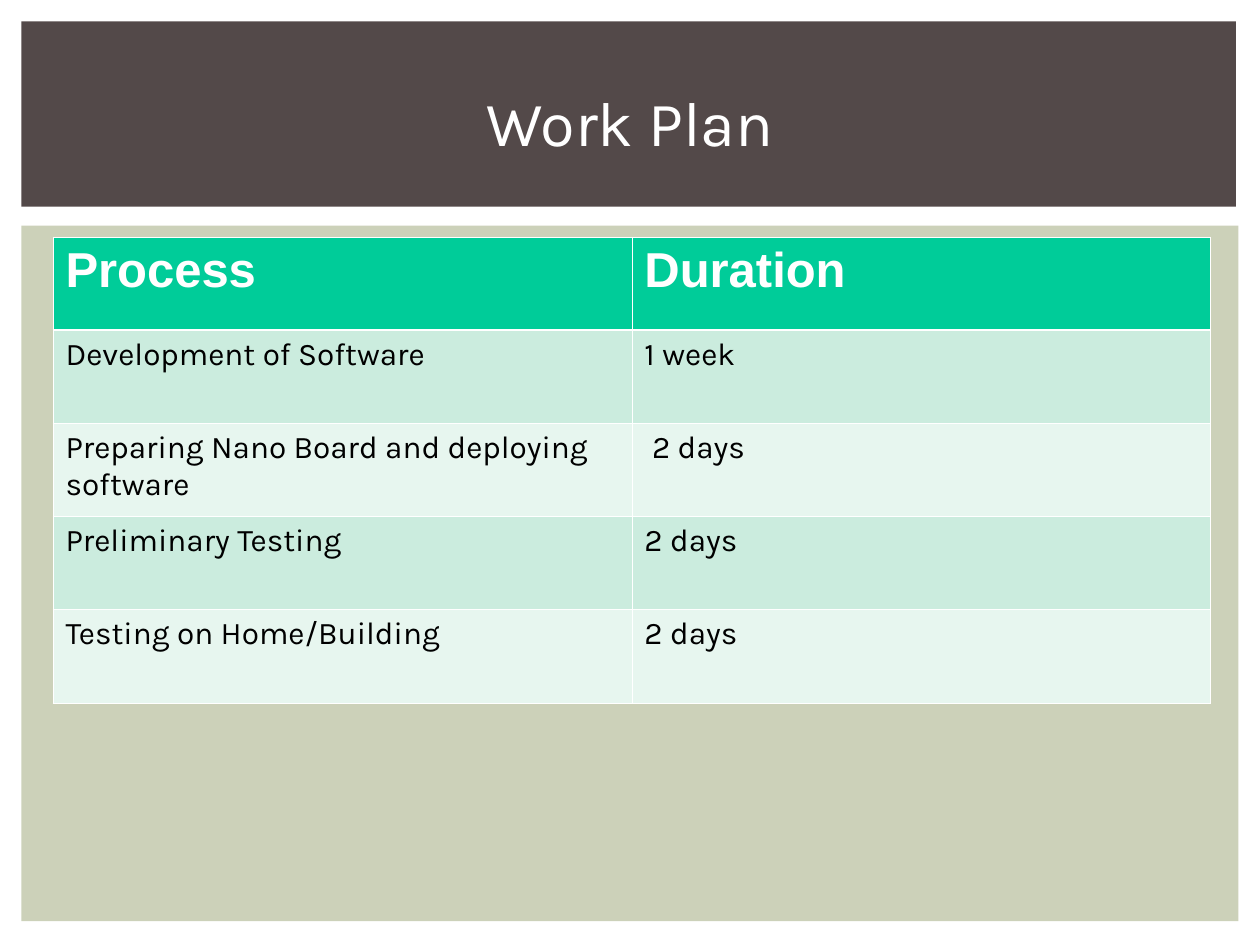
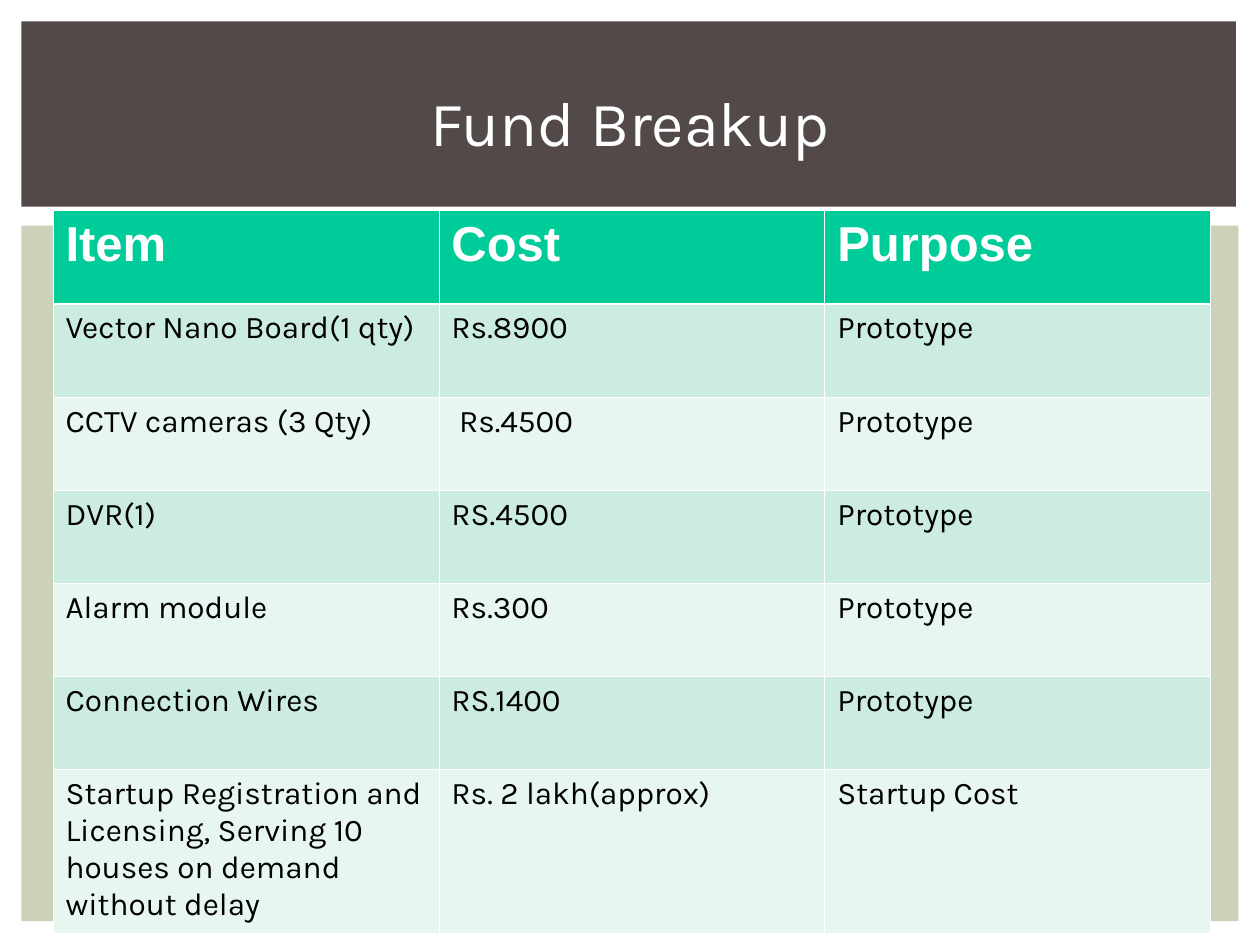
from dataclasses import dataclass

from lxml.etree import SubElement
from pptx import Presentation
from pptx.dml.color import RGBColor
from pptx.enum.shapes import MSO_SHAPE
from pptx.enum.text import MSO_ANCHOR, MSO_AUTO_SIZE, PP_ALIGN
from pptx.oxml.ns import qn
from pptx.util import Inches, Pt

COLORS = {
    "title_band": "534949",
    "content_panel": "CCD1B9",
    "header": "00CC99",
    "odd_row": "CBECDE",
    "even_row": "E7F6EF",
    "white": "FFFFFF",
    "black": "000000",
}
HEADER_FONT = "Arial"
BODY_FONT = "Karla"
TABLE_LEFT = 0.42
TABLE_WIDTH = 9.19
ROW_HEIGHT = 0.74
THIN_BORDER = 0.45
HEADER_BORDER = 1.47


@dataclass(frozen=True)
class Band:
    color: str
    left: float
    top: float
    width: float
    height: float


@dataclass(frozen=True)
class TableSlide:
    title: str
    top: float
    rows: list[tuple[str, ...]]
    last_row_height: float = ROW_HEIGHT
    indented_cell: tuple[int, int] = (2, 1)


BANDS = [
    Band("content_panel", 0.17, 1.79, 9.66, 5.52),
    Band("title_band", 0.17, 0.17, 9.64, 1.47),
]

TABLE_SLIDES = [
    TableSlide("Work Plan", 1.88, [
        ("Process", "Duration"),
        ("Development of Software", "1 week"),
        ("Preparing Nano Board and deploying software", "2 days"),
        ("Preliminary Testing", "2 days"),
        ("Testing on Home/Building", "2 days"),
    ]),
    TableSlide("Fund Breakup", 1.67, [
        ("Item", "Cost", "Purpose"),
        ("Vector Nano Board(1 qty)", "Rs.8900", "Prototype"),
        ("CCTV cameras (3 Qty)", "Rs.4500", "Prototype"),
        ("DVR(1)", "RS.4500", "Prototype"),
        ("Alarm module", "Rs.300", "Prototype"),
        ("Connection Wires", "RS.1400", "Prototype"),
        ("Startup Registration and Licensing, Serving 10 houses on demand without delay",
         "Rs. 2 lakh(approx)", "Startup Cost"),
    ], last_row_height=1.3),
]


def rgb(name: str) -> RGBColor:
    return RGBColor.from_string(COLORS[name])


def style_font(paragraph, face: str, size: int, color: str, bold: bool = False) -> None:
    for run in paragraph.runs:
        run.font.name = face
        run.font.size = Pt(size)
        run.font.bold = bold
        run.font.color.rgb = rgb(color)


def add_layout_bands(layout, slide) -> None:
    for depth, band in enumerate(BANDS):
        panel = slide.shapes.add_shape(
            MSO_SHAPE.RECTANGLE, Inches(band.left), Inches(band.top),
            Inches(band.width), Inches(band.height))
        panel.shadow.inherit = False
        panel.fill.solid()
        panel.fill.fore_color.rgb = rgb(band.color)
        panel.line.fill.background()
        layout.shapes._spTree.insert(2 + depth, panel._element)


def set_title(slide, text: str) -> None:
    title = slide.shapes.title
    title.left, title.top = Inches(TABLE_LEFT), Inches(0.39)
    title.width, title.height = Inches(9.16), Inches(1.15)
    frame = title.text_frame
    frame.text = text
    frame.word_wrap = True
    frame.auto_size = MSO_AUTO_SIZE.NONE
    frame.vertical_anchor = MSO_ANCHOR.MIDDLE
    heading = frame.paragraphs[0]
    heading.alignment = PP_ALIGN.CENTER
    style_font(heading, BODY_FONT, 36, "white")


def set_borders(cell, row: int) -> None:
    widths = {
        "a:lnL": THIN_BORDER,
        "a:lnR": THIN_BORDER,
        "a:lnT": HEADER_BORDER if row == 1 else THIN_BORDER,
        "a:lnB": HEADER_BORDER if row == 0 else THIN_BORDER,
    }
    properties = cell._tc.get_or_add_tcPr()
    for side, width in widths.items():
        border = SubElement(properties, qn(side), w=str(int(Pt(width))))
        fill = SubElement(border, qn("a:solidFill"))
        SubElement(fill, qn("a:srgbClr"), val=COLORS["white"])


def fill_cell(cell, text: str, row: int) -> None:
    set_borders(cell, row)
    cell.text_frame.text = text
    content = cell.text_frame.paragraphs[0]
    cell.fill.solid()
    if row == 0:
        cell.fill.fore_color.rgb = rgb("header")
        style_font(content, HEADER_FONT, 28, "white", bold=True)
    else:
        cell.fill.fore_color.rgb = rgb("odd_row" if row % 2 else "even_row")
        style_font(content, BODY_FONT, 18, "black")


def add_data_table(slide, data: TableSlide) -> None:
    row_count, column_count = len(data.rows), len(data.rows[0])
    height = ROW_HEIGHT * (row_count - 1) + data.last_row_height
    table = slide.shapes.add_table(
        row_count, column_count, Inches(TABLE_LEFT), Inches(data.top),
        Inches(TABLE_WIDTH), Inches(height)).table
    table.horz_banding = False
    for column in table.columns:
        column.width = Inches(TABLE_WIDTH / column_count)
    for row in table.rows:
        row.height = Inches(ROW_HEIGHT)
    table.rows[row_count - 1].height = Inches(data.last_row_height)
    for row, texts in enumerate(data.rows):
        for column, text in enumerate(texts):
            fill_cell(table.cell(row, column), text, row)
    table.cell(*data.indented_cell).margin_left = Inches(0.16)


def main() -> None:
    deck = Presentation()
    deck.slide_width, deck.slide_height = Inches(10), Inches(7.5)
    layout = deck.slide_layouts[5]
    for index, data in enumerate(TABLE_SLIDES):
        slide = deck.slides.add_slide(layout)
        if index == 0:
            add_layout_bands(layout, slide)
        set_title(slide, data.title)
        add_data_table(slide, data)
    deck.save("out.pptx")


if __name__ == "__main__":
    main()
